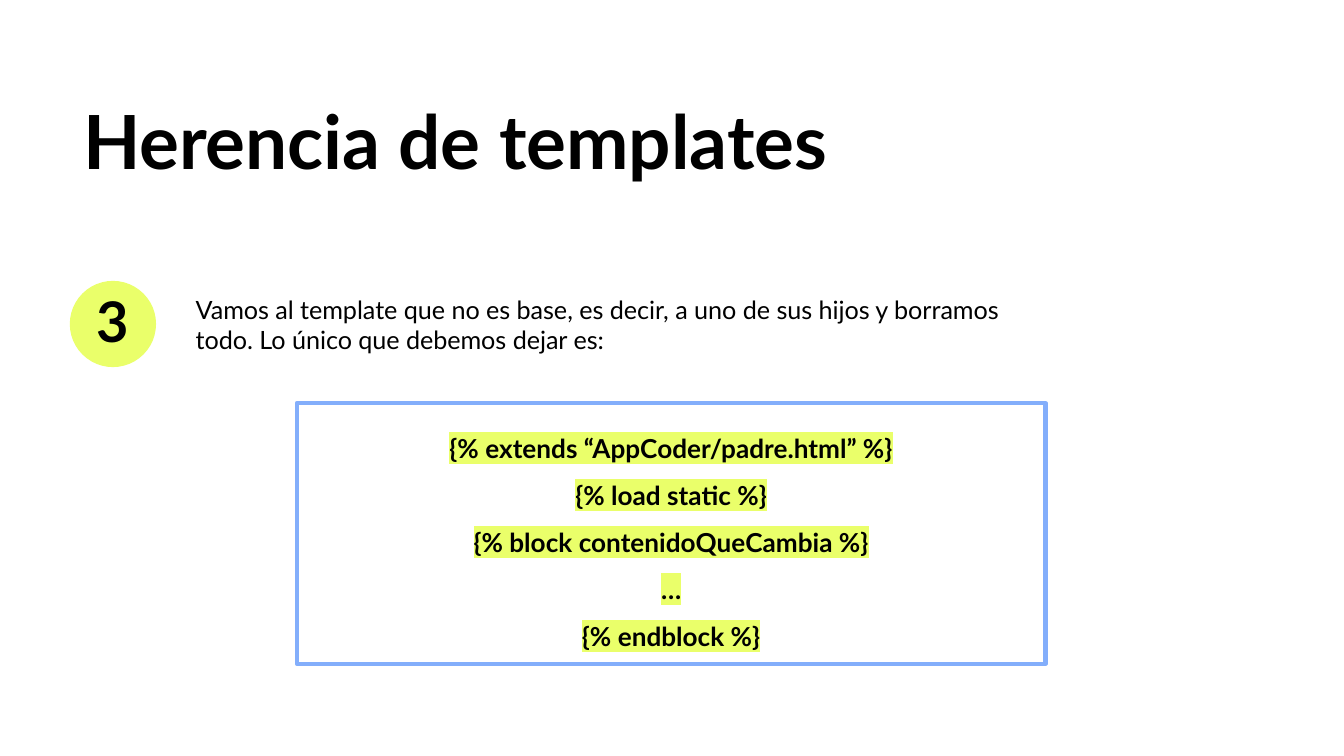
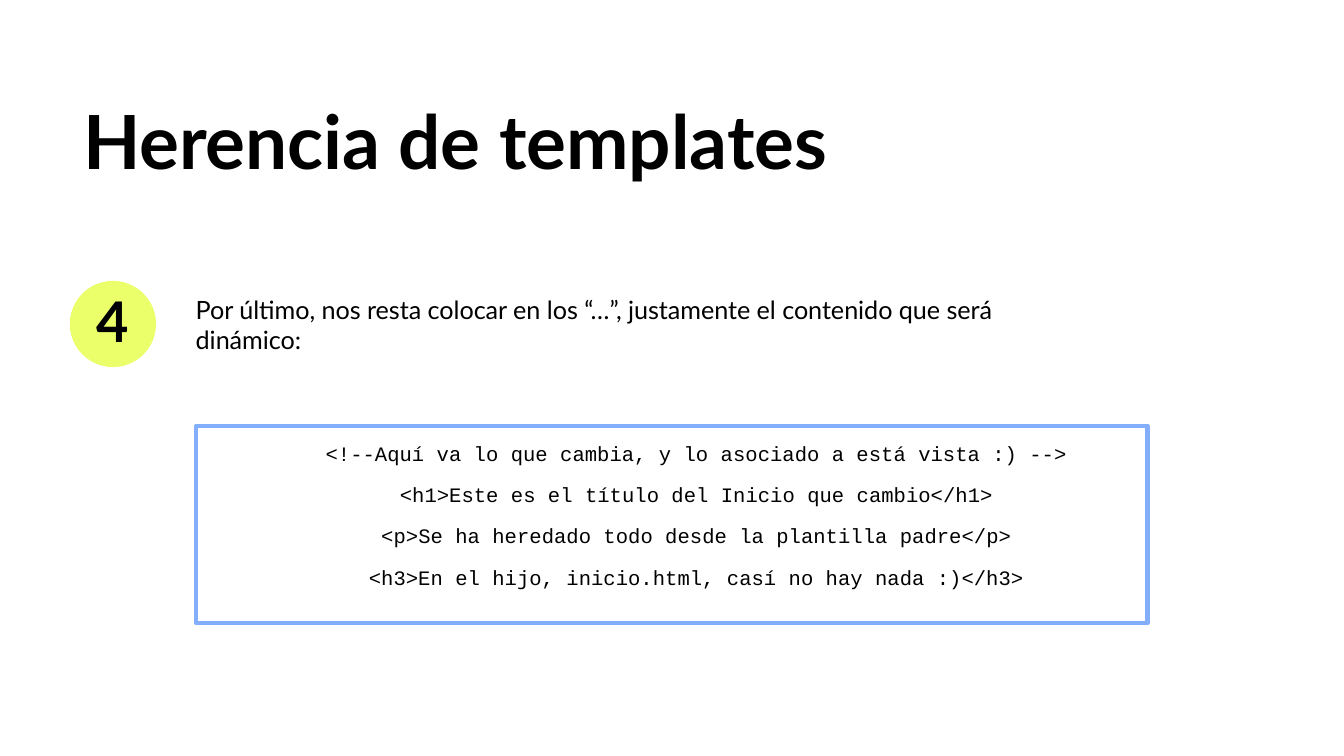
from lxml.etree import SubElement
from pptx import Presentation
from pptx.dml.color import RGBColor
from pptx.enum.shapes import MSO_SHAPE
from pptx.enum.text import MSO_ANCHOR, MSO_AUTO_SIZE, PP_ALIGN
from pptx.oxml.ns import qn
from pptx.util import Cm, Pt

BLACK = RGBColor(0x00, 0x00, 0x00)
LIME = RGBColor(0xEA, 0xFF, 0x6A)
BLUE = RGBColor(0x83, 0xAE, 0xFB)

# Content: boxes are left, top, width, height in centimetres
TITLE = "Herencia de templates"
STEPS = [
    {
        "number": "3",
        "text": "Vamos al template que no es base, es decir, a uno de sus hijos "
                "y borramos todo. Lo único que debemos dejar es:",
        "code": [
            "{% extends “AppCoder/padre.html” %}",
            "{% load static %}",
            "{% block contenidoQueCambia %}",
            "…",
            "{% endblock %}",
        ],
        "code_box": (5.61, 7.62, 14.15, 4.93),
        "code_format": {"size": 14, "bold": True, "spacing": 1.5, "highlight": LIME},
    },
    {
        "number": "4",
        "text": "Por último, nos resta colocar en los “…”, justamente el contenido "
                "que será dinámico:",
        "code": [
            "    <!--Aquí va lo que cambia, y lo asociado a está vista :) -->",
            "    <h1>Este es el título del Inicio que cambio</h1>",
            "    <p>Se ha heredado todo desde la plantilla padre</p>",
            "    <h3>En el hijo, inicio.html, casí no hay nada :)</h3>",
        ],
        "code_box": (3.71, 8.05, 17.98, 3.73),
        "code_format": {"size": 11, "font": "Courier New", "spacing": 1.07, "gap": 8},
    },
]

# Shared layout
TITLE_BOX = (1.32, 1.73, 22.6, 2.06)
BADGE_BOX = (1.32, 5.31, 1.63, 1.63)
TEXT_BOX = (3.45, 5.31, 16.05, 1.68)
INSET = 0.25


def place(box):
    return [Cm(length) for length in box]


def write(shape, lines, size, font="Lato", bold=False, align=PP_ALIGN.LEFT,
          spacing=1.0, gap=0, anchor=MSO_ANCHOR.TOP, inset=INSET, highlight=None):
    frame = shape.text_frame
    frame.word_wrap = True
    frame.auto_size = MSO_AUTO_SIZE.NONE
    frame.vertical_anchor = anchor
    frame.margin_left = frame.margin_right = Cm(inset)
    frame.margin_top = frame.margin_bottom = Cm(inset)
    for index, line in enumerate(lines):
        paragraph = frame.add_paragraph() if index else frame.paragraphs[0]
        paragraph.alignment = align
        paragraph.line_spacing = spacing
        paragraph.space_before = Pt(gap if index else 0)
        run = paragraph.add_run()
        run.text = line
        run.font.size = Pt(size)
        run.font.bold = bold
        run.font.color.rgb = BLACK
        if highlight is not None:
            mark = SubElement(run.font._element, qn("a:highlight"))
            SubElement(mark, qn("a:srgbClr"), val=str(highlight))
        run.font.name = font


def add_plain_shape(slide, kind, box, fill=None, line=None):
    shape = slide.shapes.add_shape(kind, *place(box))
    shape.shadow.inherit = False
    if fill is None:
        shape.fill.background()
    else:
        shape.fill.solid()
        shape.fill.fore_color.rgb = fill
    if line is None:
        shape.line.fill.background()
    else:
        shape.line.color.rgb = line
        shape.line.width = Pt(2.25)
    return shape


def add_step(presentation, step):
    slide = presentation.slides.add_slide(presentation.slide_layouts[5])

    # Title
    title = slide.shapes.title
    title.left, title.top, title.width, title.height = place(TITLE_BOX)
    write(title, [TITLE], size=40, bold=True, spacing=0.9)

    # Explanation with its numbered badge
    explanation = slide.shapes.add_textbox(*place(TEXT_BOX))
    write(explanation, [step["text"]], size=13.5)
    badge = add_plain_shape(slide, MSO_SHAPE.OVAL, BADGE_BOX, fill=LIME)
    write(badge, [step["number"]], size=30, bold=True, align=PP_ALIGN.CENTER,
          spacing=0.9, anchor=MSO_ANCHOR.MIDDLE, inset=0)

    # Framed code
    code = add_plain_shape(slide, MSO_SHAPE.RECTANGLE, step["code_box"], line=BLUE)
    write(code, step["code"], align=PP_ALIGN.CENTER, **step["code_format"])


def main():
    presentation = Presentation()
    presentation.slide_width, presentation.slide_height = Cm(25.4), Cm(14.29)
    for step in STEPS:
        add_step(presentation, step)
    presentation.save("out.pptx")


if __name__ == "__main__":
    main()
